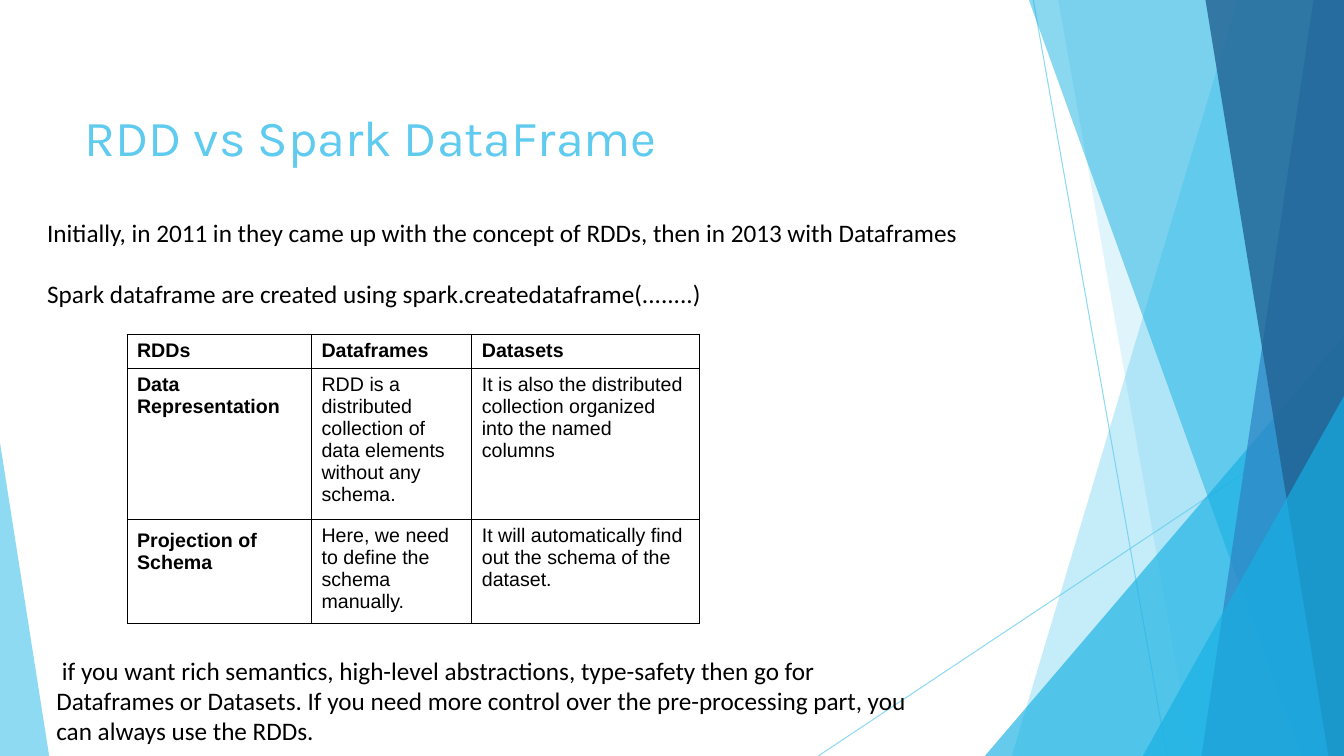
from lxml.etree import SubElement
from pptx import Presentation
from pptx.dml.color import RGBColor
from pptx.enum.shapes import MSO_CONNECTOR, MSO_SHAPE
from pptx.enum.text import MSO_ANCHOR, MSO_AUTO_SIZE, PP_ALIGN
from pptx.oxml.ns import qn
from pptx.util import Cm, Pt

W, H = 33.87, 19.05
COLORS = {
    "black": "000000",
    "sky": "5FCBEF",
    "cyan": "16B0E3",
    "blue": "2E83C3",
    "navy": "226292",
}


class Deck:
    def __init__(self):
        self.prs = Presentation()
        self.prs.slide_width, self.prs.slide_height = Cm(W), Cm(H)
        self.s = None

    def add_slide(self):
        self.s = self.prs.slides.add_slide(self.prs.slide_layouts[5])

    def color(self, name):
        return RGBColor.from_string(COLORS[name])

    def paint(self, fill, name, alpha):
        fill.solid()
        fill.fore_color.rgb = self.color(name)
        for clr in fill._xPr.iter(qn("a:srgbClr")):
            SubElement(clr, qn("a:alpha"), val=str(alpha * 1000))

    def font(self, p, name, size, color="black", bold=False):
        p.font.name, p.font.size, p.font.bold = name, Pt(size), bold
        p.font.color.rgb = self.color(color)

    def finish(self, sp, color, alpha):
        sp.shadow.inherit = False
        sp.line.fill.background()
        self.paint(sp.fill, color, alpha)

    def line(self, x1, y1, x2, y2):
        c = self.s.shapes.add_connector(
            MSO_CONNECTOR.STRAIGHT, Cm(x1), Cm(y1), Cm(x2), Cm(y2))
        c.line.width = Pt(0.75)
        self.paint(c.line.fill, "sky", 70)
        SubElement(c._element.spPr, qn("a:effectLst"))

    def panel(self, top_x, bottom_x, color, alpha):
        fb = self.s.shapes.build_freeform(Cm(top_x), 0)
        fb.add_line_segments(
            [(Cm(W), 0), (Cm(W), Cm(H)), (Cm(bottom_x), Cm(H))], close=True)
        self.finish(fb.convert_to_shape(), color, alpha)

    def triangle(self, x, y, w, apex, color, alpha):
        sp = self.s.shapes.add_shape(
            MSO_SHAPE.ISOSCELES_TRIANGLE, Cm(x), Cm(y), Cm(w), Cm(H - y))
        sp.adjustments[0] = apex
        self.finish(sp, color, alpha)

    def title(self, text, x, y, w, h):
        sp = self.s.shapes.title
        sp.left, sp.top, sp.width, sp.height = Cm(x), Cm(y), Cm(w), Cm(h)
        tf = sp.text_frame
        tf.text = text
        tf.auto_size = MSO_AUTO_SIZE.NONE
        tf.vertical_anchor = MSO_ANCHOR.MIDDLE
        p = tf.paragraphs[0]
        p.alignment = PP_ALIGN.LEFT
        self.font(p, "Karla", 36, "sky")

    def text(self, lines, x, y, w, h):
        tf = self.s.shapes.add_textbox(Cm(x), Cm(y), Cm(w), Cm(h)).text_frame
        tf.word_wrap = True
        tf.auto_size = MSO_AUTO_SIZE.SHAPE_TO_FIT_TEXT
        tf.margin_left = tf.margin_right = Cm(0.25)
        tf.margin_top = tf.margin_bottom = Cm(0.25)
        for i, line in enumerate(lines):
            p = tf.add_paragraph() if i else tf.paragraphs[0]
            p.text = line
            p.space_before = Pt(22 if i else 0)
            self.font(p, "Calibri", 18)

    def borders(self, cell):
        tcPr = cell._tc.get_or_add_tcPr()
        for i, side in enumerate(("lnL", "lnR", "lnT", "lnB")):
            ln = SubElement(tcPr, qn(f"a:{side}"), w=str(Pt(0.75)))
            fill = SubElement(ln, qn("a:solidFill"))
            SubElement(fill, qn("a:srgbClr"), val=COLORS["black"])
            tcPr.insert(i, ln)

    def table(self, rows, x, y, widths, heights, frame_height):
        frame = self.s.shapes.add_table(
            len(rows), len(widths), Cm(x), Cm(y),
            Cm(sum(widths)), Cm(sum(heights)))
        tbl = frame.table
        tbl.first_row = tbl.horz_banding = False
        for col, width in zip(tbl.columns, widths):
            col.width = Cm(width)
        for row, height in zip(tbl.rows, heights):
            row.height = Cm(height)
        frame.height = Cm(frame_height)
        for i, row in enumerate(rows):
            for j, text in enumerate(row):
                cell = tbl.cell(i, j)
                cell.text = text
                cell.fill.background()
                self.borders(cell)
                self.font(cell.text_frame.paragraphs[0], "Arial", 14,
                          bold=i == 0 or j == 0)
        return tbl


def main():
    d = Deck()
    d.add_slide()

    d.line(26.04, 0, 29.41, H)
    d.line(W, 10.24, 20.62, H)
    d.panel(31.19, 25.5, "sky", 36)
    d.panel(26.67, 30.05, "sky", 20)
    d.triangle(24.82, 8.46, 9.05, 1, "cyan", 66)
    d.panel(25.93, 32.79, "cyan", 50)
    d.panel(33.1, 30.28, "blue", 70)
    d.panel(30.38, 33.48, "navy", 80)
    d.triangle(28.8, 9.98, 5.07, 1, "cyan", 66)
    d.triangle(0, 11.15, 1.24, 0, "sky", 70)

    d.title("RDD vs Spark DataFrame", 1.88, 2.51, 23.88, 1.83)
    d.text([
        "Initially, in 2011 in they came up with the concept of RDDs, "
        "then in 2013 with Dataframes",
        "Spark dataframe are created using spark.createdataframe(........)",
    ], 0.94, 5.23, 26.37, 2.82)
    d.text([
        " if you want rich semantics, high-level abstractions, type-safety "
        "then go for Dataframes or Datasets. If you need more control over "
        "the pre-processing part, you can always use the RDDs.",
    ], 1.17, 16.26, 22.05, 2.82)

    tbl = d.table([
        ["RDDs", "Dataframes", "Datasets"],
        ["Data Representation",
         "RDD is a distributed collection of data elements without any "
         "schema.",
         "It is also the distributed collection organized into the named "
         "columns"],
        ["Projection of Schema",
         "Here, we need to define the schema manually.",
         "It will automatically find out the schema of the dataset."],
    ], 3.2, 8.43, [4.65, 4.04, 5.74], [0.76, 3.18, 2.11], 8.33)
    projection = tbl.cell(2, 0)
    projection.margin_top = projection.margin_bottom = Cm(0.25)

    d.prs.save("out.pptx")


if __name__ == "__main__":
    main()
